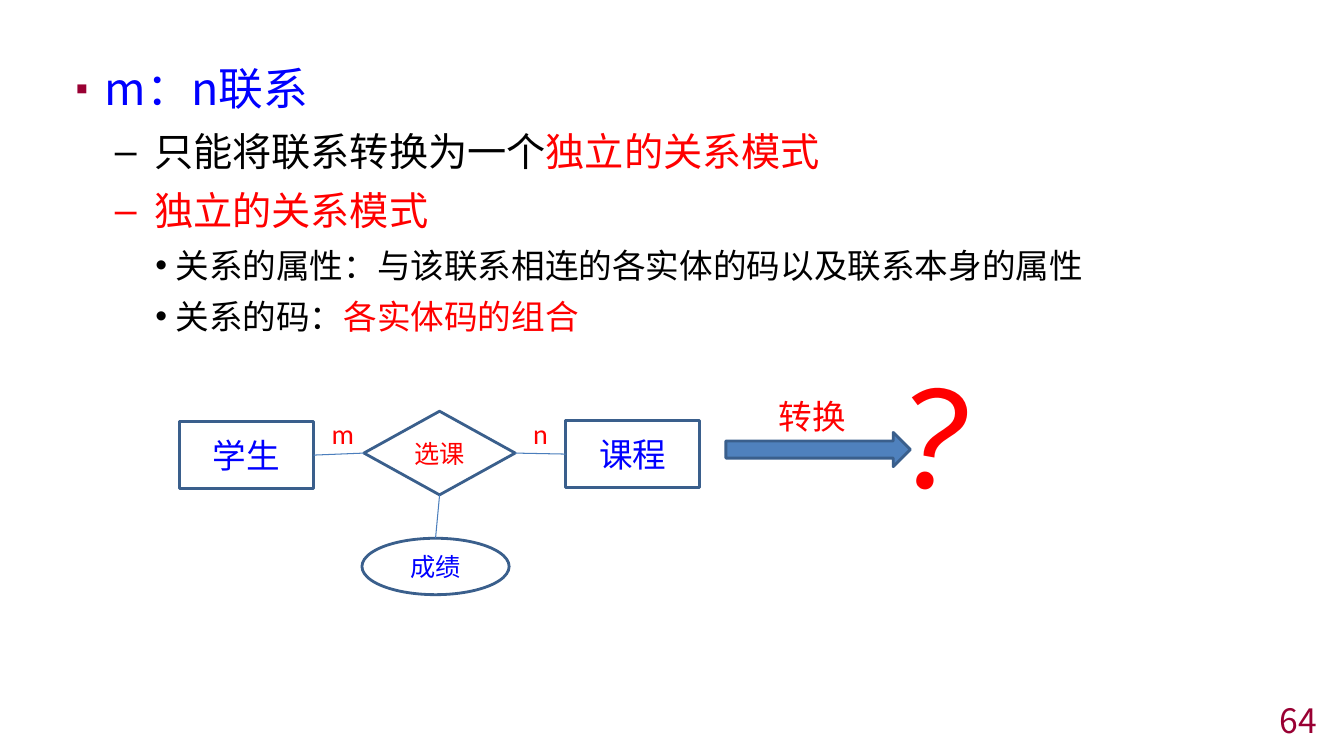
from lxml.etree import SubElement
from pptx import Presentation
from pptx.dml.color import RGBColor
from pptx.enum.shapes import MSO_CONNECTOR, MSO_SHAPE
from pptx.enum.text import MSO_ANCHOR, PP_ALIGN
from pptx.oxml.ns import qn
from pptx.util import Inches, Pt

BLUE = RGBColor(0x00, 0x00, 0xFF)
RED = RGBColor(0xFF, 0x00, 0x00)
BLACK = RGBColor(0x00, 0x00, 0x00)
MAROON = RGBColor(0x99, 0x00, 0x33)
OUTLINE = RGBColor(0x3A, 0x5F, 0x8C)
LINK = RGBColor(0x4B, 0x7E, 0xBC)
ARROW = RGBColor(0x4F, 0x81, 0xBD)
CJK = "Noto Sans CJK SC"
LATIN = "Calibri"

# Per list level: size, left margin, hanging indent, bullet
LEVELS = [(32, 0.29, 0.29, "▪"), (28, 0.78, 0.39, "–"), (24, 0.99, 0.2, "•")]


def add_text(paragraph, text, size=24, color=BLACK, font=CJK):
    run = paragraph.add_run()
    run.text = text
    run.font.size = Pt(size)
    run.font.color.rgb = color
    run.font.name = font
    SubElement(run.font._element, qn("a:ea"), typeface=font)


class SlideBuilder:
    def __init__(self, slide):
        self.slide = slide

    def outline(self, items):
        """Fill the body placeholder with (level, [(text, color), ...]) items."""
        title, body = self.slide.placeholders
        title._element.getparent().remove(title._element)
        body.left, body.top = Inches(0.65), Inches(0.5)
        body.width, body.height = Inches(12.04), Inches(6.65)
        frame = body.text_frame
        for index, (level, parts) in enumerate(items):
            paragraph = frame.add_paragraph() if index else frame.paragraphs[0]
            size, margin, hanging, bullet = LEVELS[level]
            paragraph.level = level
            paragraph.line_spacing = 1.1
            paragraph.space_before = Pt(round(size * 0.2, 1))
            props = paragraph._p.get_or_add_pPr()
            props.set("marL", str(Inches(margin)))
            props.set("indent", str(-Inches(hanging)))
            if level == 0:
                bullet_color = SubElement(props, qn("a:buClr"))
                SubElement(bullet_color, qn("a:srgbClr"), val=str(MAROON))
                SubElement(props, qn("a:buSzPct"), val="80000")
            SubElement(props, qn("a:buChar"), char=bullet)
            for text, color in parts:
                add_text(paragraph, text, size=size, color=color)

    def node(self, kind, left, top, width, height, text="", fill=None, **style):
        shape = self.slide.shapes.add_shape(
            kind, Inches(left), Inches(top), Inches(width), Inches(height))
        shape.shadow.inherit = False
        if fill is None:
            shape.fill.background()
        else:
            shape.fill.solid()
            shape.fill.fore_color.rgb = fill
        shape.line.color.rgb = OUTLINE
        shape.line.width = Pt(2)
        if text:
            frame = shape.text_frame
            frame.margin_left = frame.margin_right = 0
            frame.margin_top = frame.margin_bottom = 0
            frame.vertical_anchor = MSO_ANCHOR.MIDDLE
            frame.paragraphs[0].alignment = PP_ALIGN.CENTER
            add_text(frame.paragraphs[0], text, **style)
        return shape

    def label(self, left, top, width, height, text, align=PP_ALIGN.CENTER,
              anchor=MSO_ANCHOR.TOP, rotation=0, **style):
        box = self.slide.shapes.add_textbox(
            Inches(left), Inches(top), Inches(width), Inches(height))
        box.rotation = rotation
        box.text_frame.word_wrap = True
        box.text_frame.vertical_anchor = anchor
        box.text_frame.paragraphs[0].alignment = align
        add_text(box.text_frame.paragraphs[0], text, **style)

    def link(self, start, start_site, end, end_site):
        line = self.slide.shapes.add_connector(MSO_CONNECTOR.STRAIGHT, 0, 0, 0, 0)
        line.begin_connect(start, start_site)
        line.end_connect(end, end_site)
        line.line.color.rgb = LINK
        line.line.width = Pt(0.75)
        SubElement(line._element.spPr, qn("a:effectLst"))


def main():
    deck = Presentation()
    deck.slide_width, deck.slide_height = Inches(13.33), Inches(7.5)
    builder = SlideBuilder(deck.slides.add_slide(deck.slide_layouts[1]))

    # Rules for converting the relationship
    builder.outline([
        (0, [("m：n联系", BLUE)]),
        (1, [("只能将联系转换为一个", BLACK), ("独立的关系模式", RED)]),
        (1, [("独立的关系模式", RED)]),
        (2, [("关系的属性：与该联系相连的各实体的码以及联系本身的属性", BLACK)]),
        (2, [("关系的码：", BLACK), ("各实体码的组合", RED)]),
    ])

    # Slide number
    builder.label(10.33, 6.99, 2.83, 0.31, "64", align=PP_ALIGN.RIGHT,
                  anchor=MSO_ANCHOR.MIDDLE, color=MAROON)

    # Entity-relationship diagram
    student = builder.node(MSO_SHAPE.RECTANGLE, 1.78, 4.18, 1.33, 0.67,
                           "学生", color=BLUE)
    course = builder.node(MSO_SHAPE.RECTANGLE, 5.61, 4.17, 1.33, 0.67,
                          "课程", color=BLUE)
    enrolment = builder.node(MSO_SHAPE.DIAMOND, 3.61, 4.08, 1.5, 0.83,
                             "选课", size=18, color=RED)
    grade = builder.node(MSO_SHAPE.OVAL, 3.59, 5.34, 1.46, 0.56,
                         "成绩", size=18, color=BLUE)
    builder.link(student, 3, enrolment, 1)
    builder.link(enrolment, 3, course, 1)
    builder.link(enrolment, 2, grade, 0)
    for left, cardinality in ((3.15, "m"), (5.11, "n")):
        builder.label(left, 4.08, 0.5, 0.44, cardinality,
                      size=20, color=RED, font=LATIN)

    # Conversion arrow and open question
    builder.node(MSO_SHAPE.RIGHT_ARROW, 7.2, 4.29, 1.83, 0.34, fill=ARROW)
    builder.label(7.47, 3.88, 1.17, 0.5, "转换", color=RED)
    builder.label(8.84, 3.53, 1.39, 1.72, "？", align=PP_ALIGN.LEFT,
                  rotation=10.1, size=96, color=RED)

    deck.save("out.pptx")


if __name__ == "__main__":
    main()
